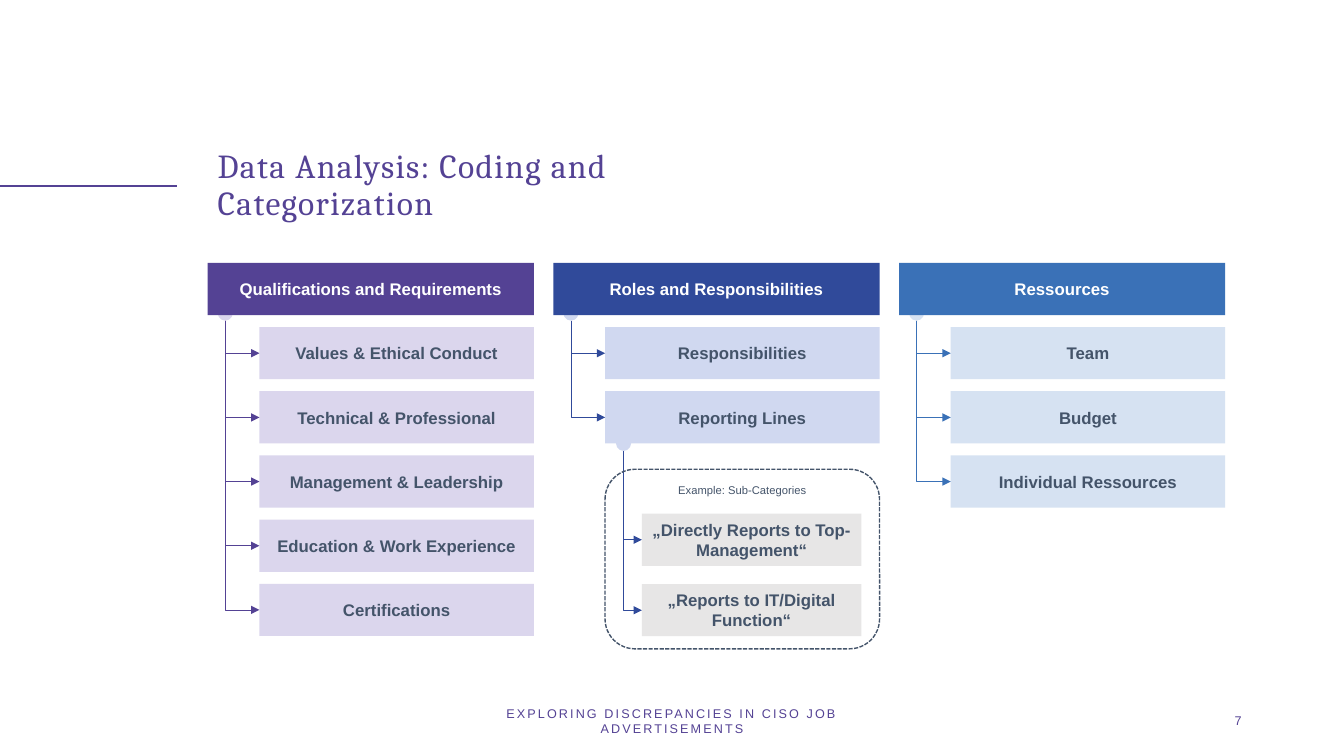
from pptx import Presentation
from pptx.dml.color import RGBColor
from pptx.enum.dml import MSO_LINE
from pptx.enum.shapes import MSO_CONNECTOR as CONNECTOR, MSO_SHAPE as SHAPE
from pptx.enum.text import MSO_ANCHOR as ANCHOR, PP_ALIGN as ALIGN
from pptx.oxml.ns import qn
from pptx.util import Pt
from lxml import etree

PURPLE, LILAC = RGBColor(0x54, 0x42, 0x94), RGBColor(0xDB, 0xD6, 0xED)
NAVY, PERIWINKLE = RGBColor(0x30, 0x4A, 0x9A), RGBColor(0xD0, 0xD8, 0xF0)
BLUE, PALE_BLUE = RGBColor(0x3A, 0x71, 0xB7), RGBColor(0xD6, 0xE2, 0xF2)
SLATE = RGBColor(0x44, 0x54, 0x6A)
GREY = RGBColor(0xE7, 0xE6, 0xE6)
WHITE = RGBColor(0xFF, 0xFF, 0xFF)

BOX_HEIGHT = 37.3
ROW_PITCH = 45.84
COLUMN_WIDTH = 233
COLUMN_PITCH = 246.9
ITEM_INDENT = 36.9
DOT_SIZE = 10.8

CATEGORIES = [
    ("Qualifications and Requirements", PURPLE, LILAC,
     ["Values & Ethical Conduct", "Technical & Professional", "Management & Leadership",
      "Education & Work Experience", "Certifications"]),
    ("Roles and Responsibilities", NAVY, PERIWINKLE, ["Responsibilities", "Reporting Lines"]),
    ("Ressources", BLUE, PALE_BLUE, ["Team", "Budget", "Individual Ressources"]),
]
SUB_CATEGORIES = ["„Directly Reports to Top-Management“", "„Reports to IT/Digital Function“"]


def write(shape, text, size, color, align=ALIGN.CENTER, anchor=ANCHOR.MIDDLE,
          font="Arial", bold=False, spacing=0):
    frame = shape.text_frame
    frame.word_wrap = True
    frame.vertical_anchor = anchor
    frame.text = text
    para = frame.paragraphs[0]
    para.alignment = align
    span = para.runs[0]
    span.font.size, span.font.name, span.font.bold = Pt(size), font, bold
    span.font.color.rgb = color
    if spacing:
        span.font._element.set("spc", str(int(spacing * 100)))
    return para


def add_text(page, left, top, width, height, text, size, color, **style):
    box = page.shapes.add_textbox(Pt(left), Pt(top), Pt(width), Pt(height))
    return write(box, text, size, color, **style)


def add_filled(page, kind, left, top, width, height, fill):
    shape = page.shapes.add_shape(kind, Pt(left), Pt(top), Pt(width), Pt(height))
    shape.shadow.inherit = False
    shape.fill.solid()
    shape.fill.fore_color.rgb = fill
    shape.line.fill.background()
    return shape


def add_label_box(page, left, top, width, text, fill, color=SLATE):
    box = add_filled(page, SHAPE.RECTANGLE, left, top, width, BOX_HEIGHT, fill)
    write(box, text, 12, color, bold=True)
    return box


def add_line(page, kind, x1, y1, x2, y2, color, weight):
    line = page.shapes.add_connector(kind, Pt(x1), Pt(y1), Pt(x2), Pt(y2))
    line.line.color.rgb = color
    line.line.width = Pt(weight)
    etree.SubElement(line._element.spPr, qn("a:effectLst"))
    return line


def add_branch(page, trunk_x, trunk_top, box, color):
    end_x, end_y = box.left / Pt(1), (box.top + box.height / 2) / Pt(1)
    across, down = end_x - trunk_x, end_y - trunk_top
    left = (trunk_x + end_x - down) / 2
    top = (trunk_top + end_y - across) / 2
    arrow = add_line(page, CONNECTOR.ELBOW, left, top, left + down, top + across, color, 0.5)
    properties = arrow._element.spPr
    properties.find(qn("a:prstGeom")).set("prst", "bentConnector2")
    transform = properties.find(qn("a:xfrm"))
    transform.set("rot", str(270 * 60000))
    transform.set("flipH", "1")
    etree.SubElement(properties.find(qn("a:ln")), qn("a:tailEnd"), type="triangle")


def add_dot(page, center_x, top, fill):
    add_filled(page, SHAPE.OVAL, center_x - DOT_SIZE / 2, top, DOT_SIZE, DOT_SIZE, fill)


def add_category(page, left, top, title, dark, light, items):
    trunk_x, dot_top = left + 12.5, top + 30.4
    add_dot(page, trunk_x, dot_top, light)
    add_label_box(page, left, top, COLUMN_WIDTH, title, dark, WHITE)
    for row, item in enumerate(items, 1):
        box = add_label_box(page, left + ITEM_INDENT, top + row * ROW_PITCH,
                            COLUMN_WIDTH - ITEM_INDENT, item, light)
        add_branch(page, trunk_x, dot_top + DOT_SIZE, box, dark)


def add_sub_categories(page, left, top, width, height):
    trunk_x, dot_top = left + 13.2, top - 23.9
    for row, text in enumerate(SUB_CATEGORIES):
        box = add_label_box(page, left + 26.3, top + 31.7 + row * 50.3, 156.8, text, GREY)
        add_branch(page, trunk_x, dot_top + DOT_SIZE, box, NAVY)
    add_dot(page, trunk_x, dot_top, PERIWINKLE)

    frame = page.shapes.add_shape(SHAPE.ROUNDED_RECTANGLE,
                                  Pt(left), Pt(top), Pt(width), Pt(height))
    frame.shadow.inherit = False
    frame.fill.background()
    frame.line.color.rgb = SLATE
    frame.line.width = Pt(1)
    frame.line.dash_style = MSO_LINE.SQUARE_DOT
    write(frame, "Example: Sub-Categories", 8, SLATE, anchor=ANCHOR.TOP)


def add_heading(page, left, top, width, height):
    add_line(page, CONNECTOR.STRAIGHT, 0, 133, 126.6, 133, PURPLE, 1.5)
    para = add_text(page, left, top, width, height, "Data Analysis: Coding and Categorization",
                    24, PURPLE, align=ALIGN.LEFT, font="Cambria", spacing=1)
    para.line_spacing = 0.9


def add_footer(page, top, height):
    add_text(page, 318, top, 324, height, "EXPLORING DISCREPANCIES IN CISO JOB ADVERTISEMENTS",
             9, PURPLE, spacing=1.5)
    add_text(page, 678, top, 216, height, "7", 9, PURPLE, align=ALIGN.RIGHT, spacing=1.5)


def main():
    deck = Presentation()
    deck.slide_width, deck.slide_height = Pt(960), Pt(540)
    page = deck.slides.add_slide(deck.slide_layouts[6])
    left, top = 148.4, 187.8
    add_heading(page, left, 106.9, 332, 52)
    for column, category in enumerate(CATEGORIES):
        add_category(page, left + column * COLUMN_PITCH, top, *category)
    add_sub_categories(page, left + COLUMN_PITCH + ITEM_INDENT, 335.2,
                       COLUMN_WIDTH - ITEM_INDENT, 128.3)
    add_footer(page, 500.5, 28.8)
    deck.save("out.pptx")


if __name__ == "__main__":
    main()
